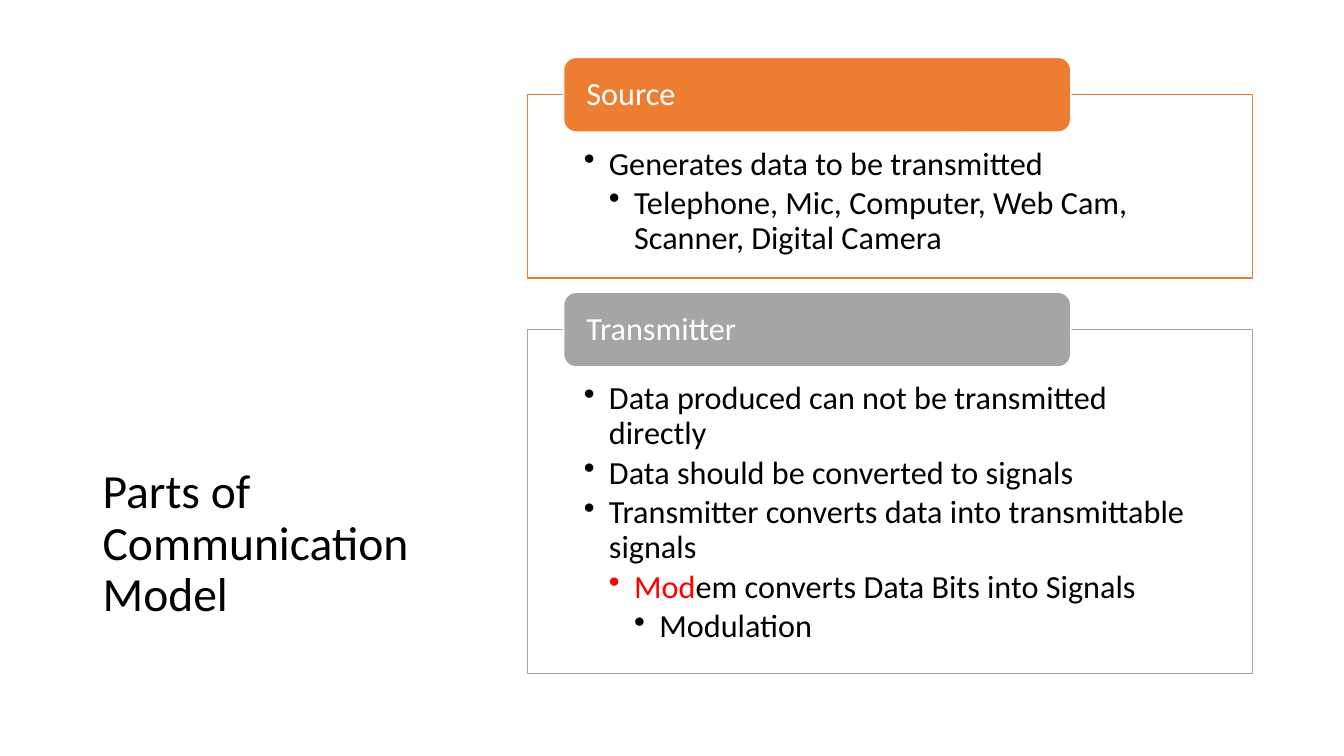
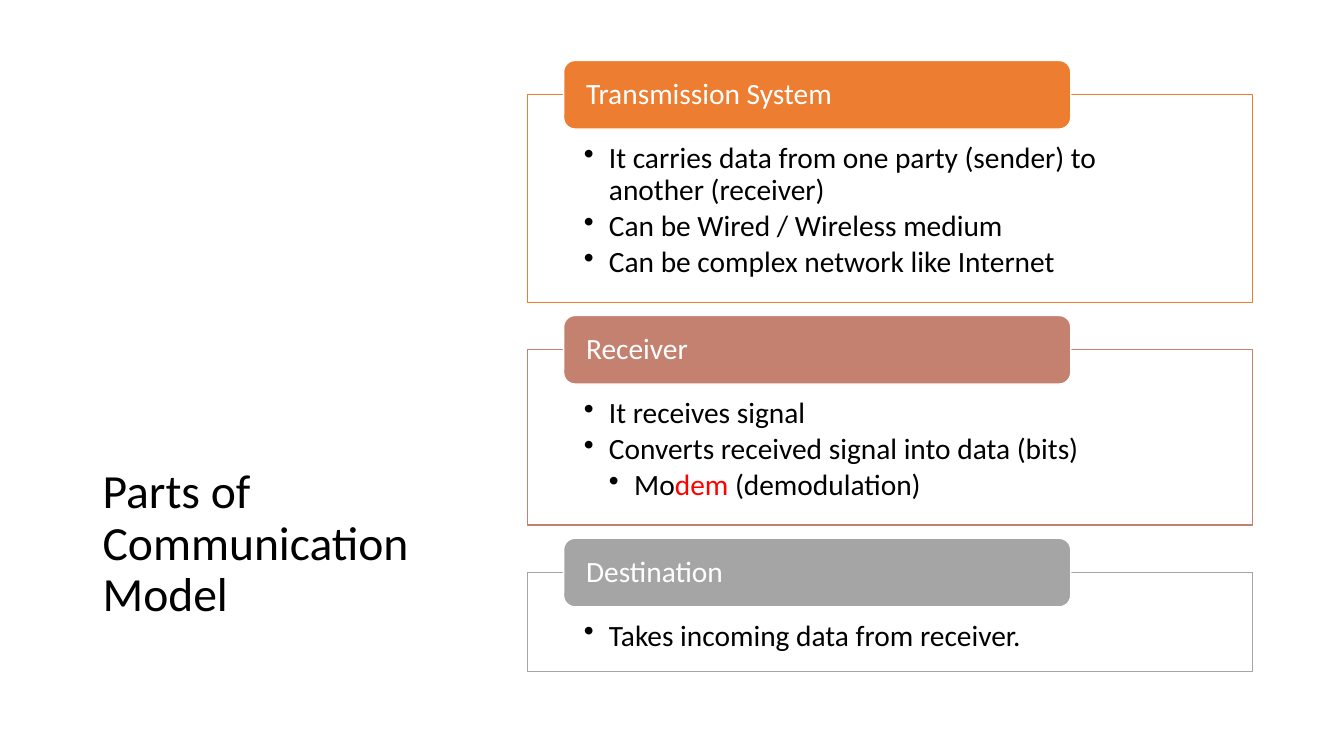
import pptx
import pptx.util
import pptx.dml.color
import pptx.enum.shapes
import pptx.enum.text
from lxml import etree

RGB = pptx.dml.color.RGBColor
SHAPE = pptx.enum.shapes.MSO_SHAPE
ALIGN = pptx.enum.text.PP_ALIGN
ANCHOR = pptx.enum.text.MSO_ANCHOR

BLACK = RGB(0x00, 0x00, 0x00)
WHITE = RGB(0xFF, 0xFF, 0xFF)
RED = RGB(0xFF, 0x00, 0x00)
ORANGE = RGB(0xED, 0x7D, 0x31)
ROSE = RGB(0xC4, 0x81, 0x70)
GRAY = RGB(0xA5, 0xA5, 0xA5)
FONT = "Calibri"

PX = 9144  # 100 px to the inch
TITLE = "Parts of Communication Model"
TITLE_BOX = (92, 405, 350, 271)
TITLE_SIZE = 34
PANEL_LEFT, PANEL_WIDTH = 523, 719
TAB_LEFT, TAB_WIDTH = 559, 503
INDENT = 25

# Panel: heading, colour, box height, bullets as (level, runs as (text, colour))
SLIDES = [
    {"size": 23, "top": 57, "tab": 74, "gap": 14, "insets": (56, 52, 56, 18), "panels": [
        ("Source", ORANGE, 182, [
            (1, [("Generates data to be transmitted", BLACK)]),
            (2, [("Telephone, Mic, Computer, Web Cam, Scanner, Digital Camera", BLACK)]),
        ]),
        ("Transmitter", GRAY, 341, [
            (1, [("Data produced can not be transmitted directly", BLACK)]),
            (1, [("Data should be converted to signals", BLACK)]),
            (1, [("Transmitter converts data into transmittable signals", BLACK)]),
            (2, [("Mod", RED), ("em converts Data Bits into Signals", BLACK)]),
            (3, [("Modulation", BLACK)]),
        ]),
    ]},
    {"size": 21, "top": 60, "tab": 68, "gap": 13, "insets": (56, 48, 56, 16), "panels": [
        ("Transmission System", ORANGE, 206, [
            (1, [("It carries data from one party (sender) to another (receiver)", BLACK)]),
            (1, [("Can be Wired / Wireless medium", BLACK)]),
            (1, [("Can be complex network like Internet", BLACK)]),
        ]),
        ("Receiver", ROSE, 174, [
            (1, [("It receives signal", BLACK)]),
            (1, [("Converts received signal into data (bits)", BLACK)]),
            (2, [("Mo", BLACK), ("dem", RED), (" (demodulation)", BLACK)]),
        ]),
        ("Destination", GRAY, 98, [
            (1, [("Takes incoming data from receiver.", BLACK)]),
        ]),
    ]},
]


def emu(box):
    return [v * PX for v in box]


def setup_frame(tf, anchor, insets):
    tf.word_wrap = True
    tf.vertical_anchor = anchor
    tf.margin_left, tf.margin_top, tf.margin_right, tf.margin_bottom = emu(insets)


def add_runs(p, runs, size):
    p.alignment = ALIGN.LEFT
    p.line_spacing = 0.9
    for text, color in runs:
        r = p.add_run()
        r.text = text
        r.font.name = FONT
        r.font.size = pptx.util.Pt(size)
        r.font.color.rgb = color


def add_bullet(p, level):
    p.level = level
    pPr = p._p.get_or_add_pPr()
    pPr.set("marL", str(level * INDENT * PX))
    pPr.set("indent", str(-INDENT * PX))
    etree.SubElement(pPr, pptx.oxml.ns.qn("a:buChar")).set("char", "•")


def add_block(s, kind, box, fill, line):
    sp = s.shapes.add_shape(kind, *emu(box))
    sp.shadow.inherit = False
    sp.fill.solid()
    sp.fill.fore_color.rgb = fill
    sp.line.color.rgb = line
    sp.line.width = pptx.util.Pt(1)
    return sp.text_frame


def add_title(s):
    tf = s.shapes.add_textbox(*emu(TITLE_BOX)).text_frame
    setup_frame(tf, ANCHOR.MIDDLE, (10, 5, 10, 5))
    add_runs(tf.paragraphs[0], [(TITLE, BLACK)], TITLE_SIZE)


def add_panel(s, top, style, heading, color, height, bullets):
    """Draw one box with its overlapping tab; return the bottom of the box."""
    size, tab = style["size"], style["tab"]
    box_top = top + tab // 2
    tf = add_block(s, SHAPE.RECTANGLE, (PANEL_LEFT, box_top, PANEL_WIDTH, height), WHITE, color)
    setup_frame(tf, ANCHOR.TOP, style["insets"])
    for i, (level, runs) in enumerate(bullets):
        p = tf.add_paragraph() if i else tf.paragraphs[0]
        add_bullet(p, level)
        add_runs(p, runs, size)
        p.space_after = pptx.util.Pt(size * 0.15)

    tf = add_block(s, SHAPE.ROUNDED_RECTANGLE, (TAB_LEFT, top, TAB_WIDTH, tab), color, WHITE)
    setup_frame(tf, ANCHOR.MIDDLE, (19, 0, 19, 0))
    add_runs(tf.paragraphs[0], [(heading, WHITE)], size)
    return box_top + height


def main():
    prs = pptx.Presentation()
    prs.slide_width, prs.slide_height = emu((1333, 750))
    for style in SLIDES:
        s = prs.slides.add_slide(prs.slide_layouts[6])
        add_title(s)
        top = style["top"]
        for panel in style["panels"]:
            top = add_panel(s, top, style, *panel) + style["gap"]
    prs.save("out.pptx")


if __name__ == "__main__":
    main()
